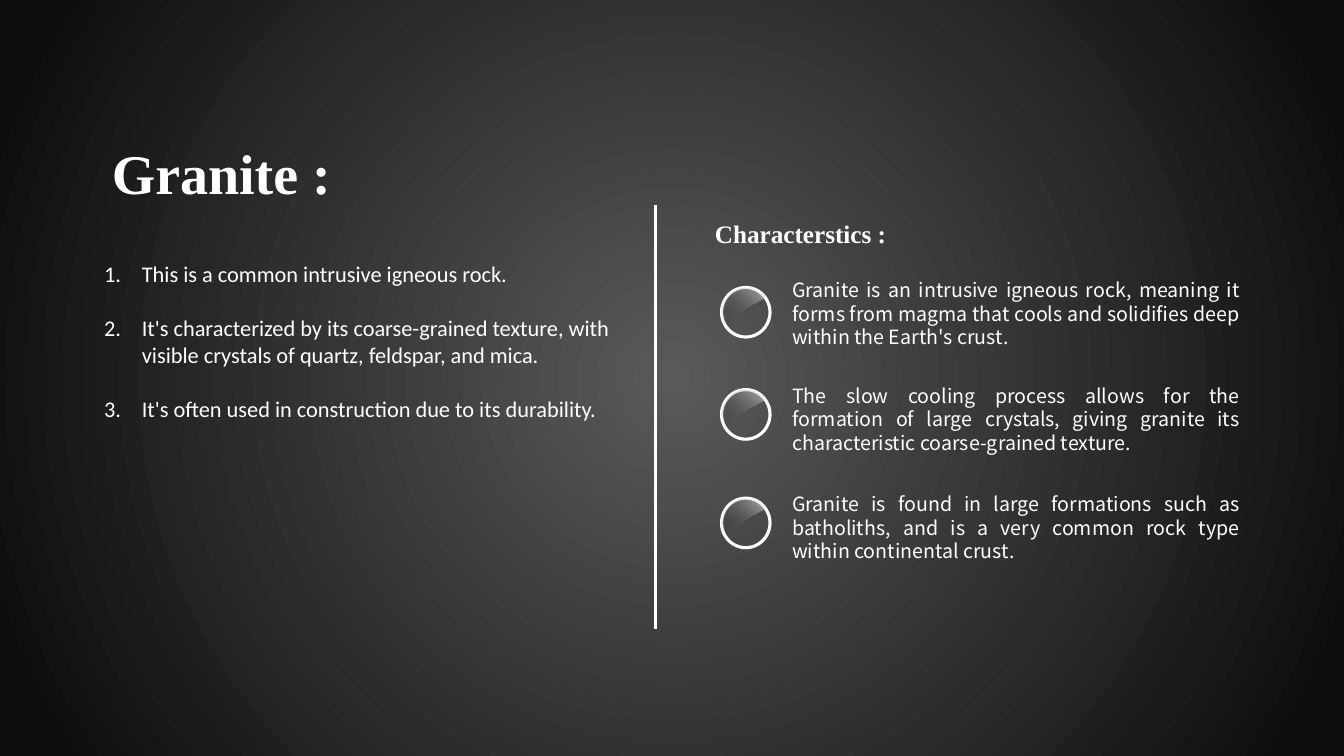
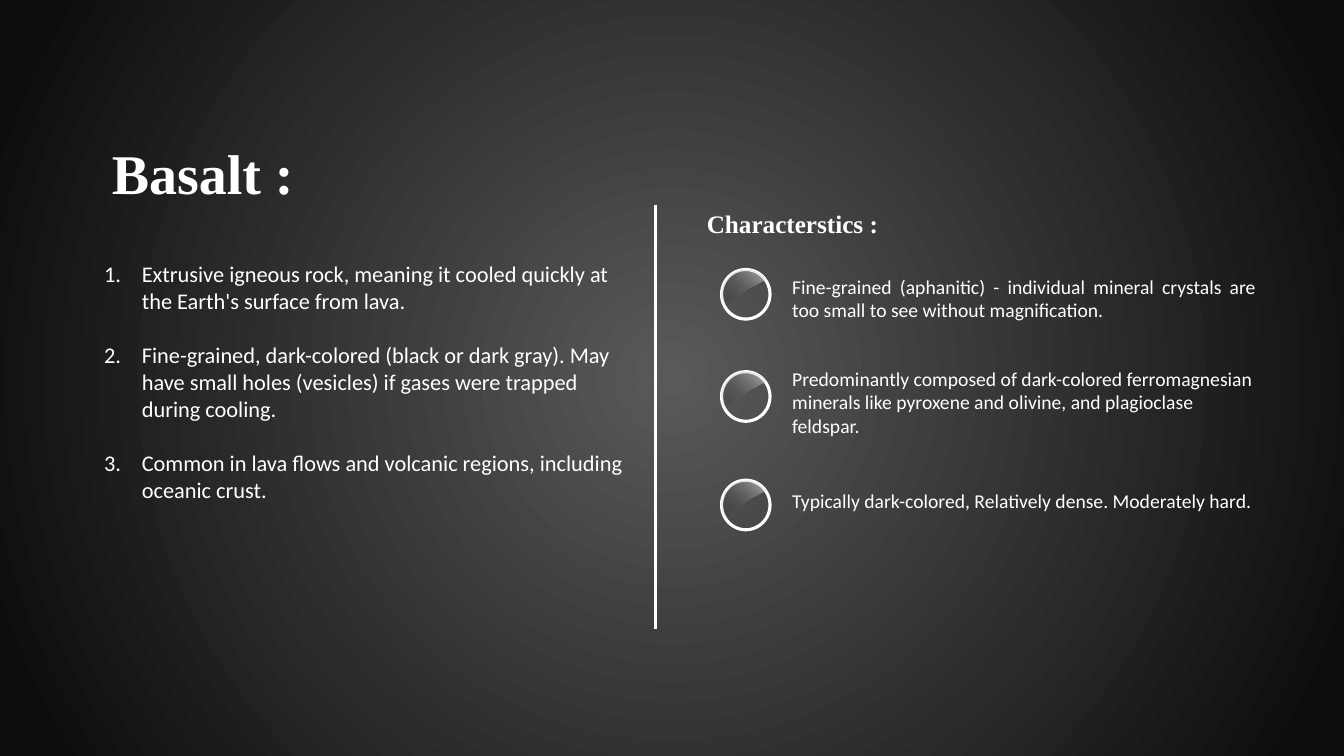
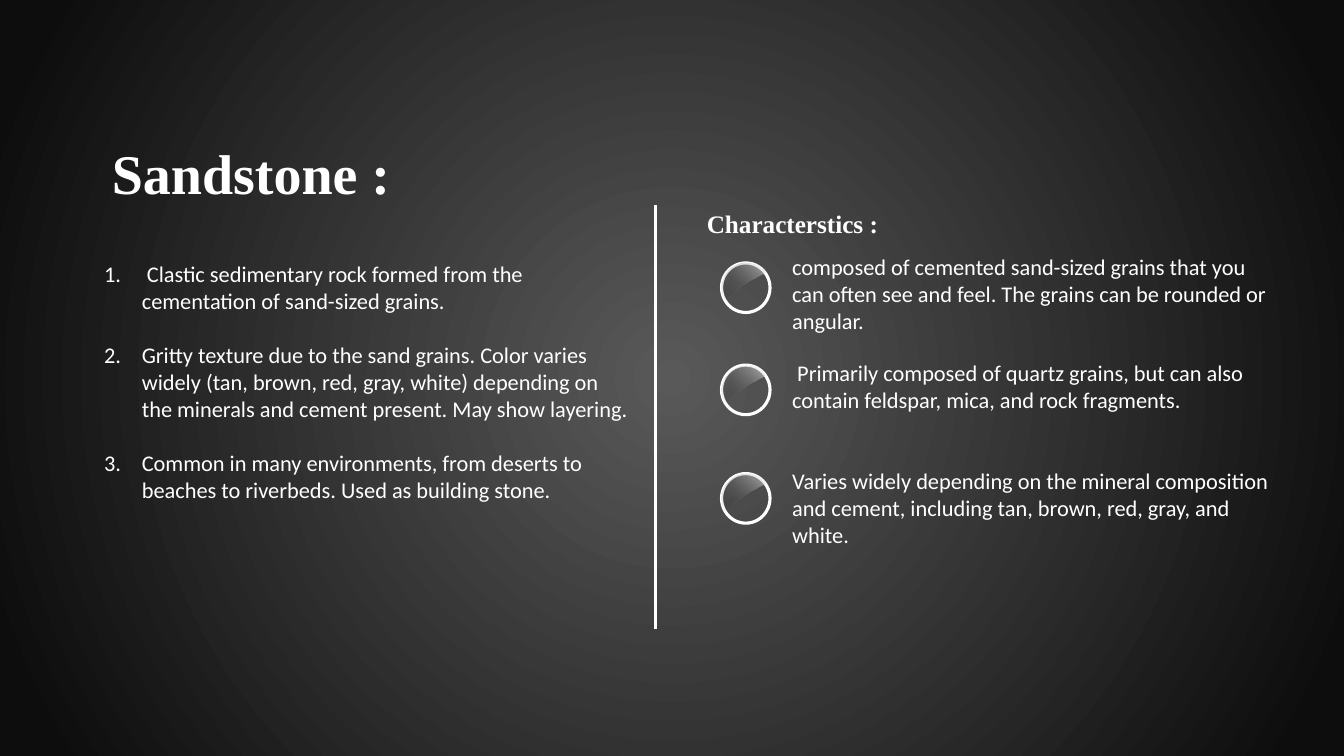
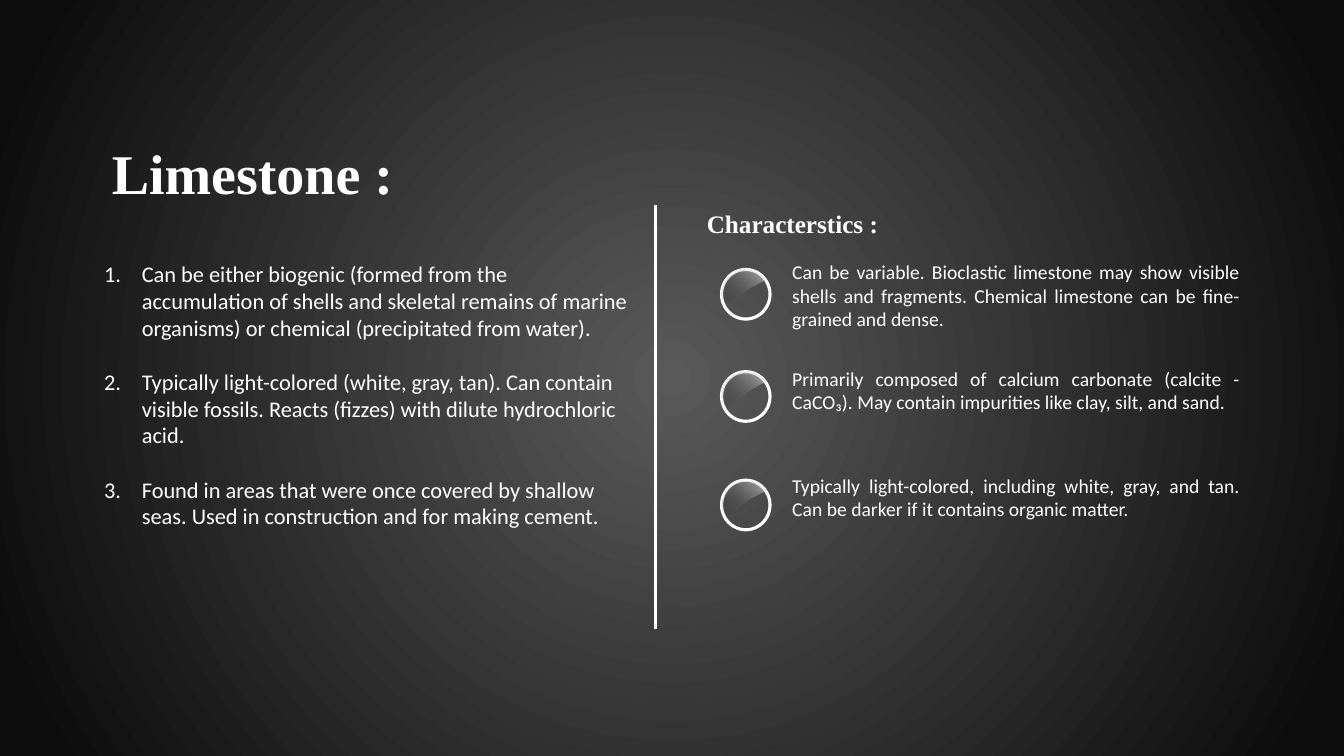
from collections.abc import Sequence
from dataclasses import dataclass

from pptx import Presentation
from pptx.dml.color import RGBColor
from pptx.enum.shapes import MSO_CONNECTOR, MSO_SHAPE
from pptx.enum.text import PP_ALIGN
from pptx.oxml import parse_xml
from pptx.oxml.ns import nsdecls, qn
from pptx.oxml.xmlchemy import BaseOxmlElement
from pptx.shapes.shapetree import GroupShapes, SlideShapes
from pptx.slide import Slide
from pptx.util import Pt

WHITE = "FFFFFF"
BACKGROUND_CENTER = "595959"
BACKGROUND_EDGE = "0D0D0D"
TITLE_FONT = "Times New Roman"
BODY_FONT = "Calibri"
RULE_WIDTH = 2.25
MARKER_LEFT = 515.4
MARKER_OFFSETS = (0, 73, 150.5)
MARKER_SIZE = (34.6, 35.4)
TRAIT_LEFT = 558.8
TRAIT_HEIGHT = 62
NUMBER_INDENT = 27
UNITS_PER_POINT = 100
Point = tuple[float, float]
Shapes = SlideShapes | GroupShapes

GLOSS_START: Point = (17.8, 0)
GLOSS_SEGMENTS: tuple[tuple[Point, ...], ...] = (
    ((22.7, 0), (27, 2), (30.2, 5.2)),
    ((31.5, 7),),
    ((27.3, 9.2),),
    ((17.3, 13.8), (10, 19), (4.3, 25.5)),
    ((2.8, 27.2),),
    ((2.1, 26.3),),
    ((0.8, 23.8), (0, 20.9), (0, 17.8)),
    ((0, 8), (8, 0), GLOSS_START),
)


@dataclass(frozen=True)
class Trait:
    """One characteristic beside a round marker."""

    text: str
    top: float
    justified: bool = True


@dataclass(frozen=True)
class Rock:
    """The content of one slide and the layout of its right column."""

    name: str
    facts: tuple[str, ...]
    traits: tuple[Trait, ...]
    marker_top: float
    trait_width: float
    trait_size: float = 14
    trait_font: str = BODY_FONT
    trait_leading: float | None = None
    heading_at: Point = (497.8, 145.5)


ROCKS = (
    Rock(
        "Granite :",
        (
            "This is a common intrusive igneous rock.",
            "It's characterized by its coarse-grained texture, with visible crystals of quartz, feldspar, and mica.",
            "It's often used in construction due to its durability.",
        ),
        (
            Trait("Granite is an intrusive igneous rock, meaning it forms from magma that cools and solidifies deep within the Earth's crust.", 195),
            Trait("The slow cooling process allows for the formation of large crystals, giving granite its characteristic coarse-grained texture.", 270.6),
            Trait("Granite is found in large formations such as batholiths, and is a very common rock type within continental crust.", 347.8),
        ),
        marker_top=205.3,
        trait_width=334,
        trait_font="Noto Sans CJK SC",
        trait_leading=16.8,
        heading_at=(503.6, 152.6),
    ),
    Rock(
        "Basalt :",
        (
            "Extrusive igneous rock, meaning it cooled quickly at the Earth's surface from lava.",
            "Fine-grained, dark-colored (black or dark gray). May have small holes (vesicles) if gases were trapped during cooling.",
            "Common in lava flows and volcanic regions, including oceanic crust.",
        ),
        (
            Trait("Fine-grained (aphanitic) - individual mineral crystals are too small to see without magnification.", 192.5),
            Trait("Predominantly composed of dark-colored ferromagnesian minerals like pyroxene and olivine, and plagioclase feldspar.", 258.5, False),
            Trait("Typically dark-colored, Relatively dense. Moderately hard.", 345.5),
        ),
        marker_top=192.5,
        trait_width=345.6,
    ),
    Rock(
        "Sandstone :",
        (
            " Clastic sedimentary rock formed from the cementation of sand-sized grains.",
            "Gritty texture due to the sand grains. Color varies widely (tan, brown, red, gray, white) depending on the minerals and cement present. May show layering.",
            "Common in many environments, from deserts to beaches to riverbeds. Used as building stone.",
        ),
        (
            Trait("composed of cemented sand-sized grains that you can often see and feel. The grains can be rounded or angular.", 177.2, False),
            Trait(" Primarily composed of quartz grains, but can also contain feldspar, mica, and rock fragments.", 253.3, False),
            Trait("Varies widely depending on the mineral composition and cement, including tan, brown, red, gray, and white.", 330, False),
        ),
        marker_top=187.8,
        trait_width=355,
        trait_size=16,
    ),
    Rock(
        "Limestone :",
        (
            "Can be either biogenic (formed from the accumulation of shells and skeletal remains of marine organisms) or chemical (precipitated from water).",
            "Typically light-colored (white, gray, tan). Can contain visible fossils. Reacts (fizzes) with dilute hydrochloric acid.",
            "Found in areas that were once covered by shallow seas. Used in construction and for making cement.",
        ),
        (
            Trait("Can be variable. Bioclastic limestone may show visible shells and fragments. Chemical limestone can be fine-grained and dense.", 182.2),
            Trait("Primarily composed of calcium carbonate (calcite - CaCO₃). May contain impurities like clay, silt, and sand.", 258.5),
            Trait("Typically light-colored, including white, gray, and tan. Can be darker if it contains organic matter.", 334.8),
        ),
        marker_top=192.5,
        trait_width=334,
    ),
)


def color(value: str) -> RGBColor:
    """Turn a hex string into a colour."""
    return RGBColor.from_string(value)


def set_gradient(element: BaseOxmlElement, stops: Sequence[tuple[int, str, int]], geometry: str) -> None:
    """Replace the element's gradient by stops of position, colour and opacity."""
    stop_xml = "".join(
        f'<a:gs pos="{position * 1000}"><a:srgbClr val="{value}">'
        f'<a:alpha val="{opacity * 1000}"/></a:srgbClr></a:gs>'
        for position, value, opacity in stops
    )
    gradient = parse_xml(
        f'<a:gradFill {nsdecls("a")} rotWithShape="1"><a:gsLst>{stop_xml}</a:gsLst>{geometry}</a:gradFill>'
    )
    old = next(element.iter(qn("a:gradFill")))
    old.getparent().replace(old, gradient)


def add_text(
    shapes: Shapes,
    texts: Sequence[str],
    left: float,
    top: float,
    width: float,
    height: float,
    *,
    size: float,
    font: str = BODY_FONT,
    bold: bool = False,
    justified: bool = False,
    numbered: bool = False,
    gap: float = 0,
    leading: float | None = None,
) -> None:
    """Add a white text box with one paragraph per text."""
    shape = shapes.add_textbox(Pt(left), Pt(top), Pt(width), Pt(height))
    frame = shape.text_frame
    frame.word_wrap = True
    for index, text in enumerate(texts):
        paragraph = frame.add_paragraph() if index else frame.paragraphs[0]
        paragraph.alignment = PP_ALIGN.JUSTIFY if justified else PP_ALIGN.LEFT
        if leading:
            paragraph.line_spacing = Pt(leading)
        paragraph.space_after = Pt(gap)
        run = paragraph.add_run()
        run.text = text
        run.font.name = font
        run.font.size = Pt(size)
        run.font.bold = bold
        run.font.color.rgb = color(WHITE)
        if numbered:
            properties = paragraph._p.get_or_add_pPr()
            properties.set("marL", str(Pt(NUMBER_INDENT)))
            properties.set("indent", str(-Pt(NUMBER_INDENT)))
            properties.append(parse_xml(f'<a:buAutoNum {nsdecls("a")} type="arabicPeriod"/>'))


def to_units(point: Point) -> tuple[int, int]:
    """Convert points to the whole units of an outline."""
    x, y = point
    return round(x * UNITS_PER_POINT), round(y * UNITS_PER_POINT)


def bend_segments(element: BaseOxmlElement, segments: Sequence[Sequence[Point]]) -> None:
    """Turn the straight segments that have control points into cubic curves."""
    for straight, points in zip(list(element.iter(qn("a:lnTo"))), segments):
        if len(points) == 3:
            point_xml = "".join(f'<a:pt x="{x}" y="{y}"/>' for x, y in map(to_units, points))
            bent = parse_xml(f'<a:cubicBezTo {nsdecls("a")}>{point_xml}</a:cubicBezTo>')
            straight.getparent().replace(straight, bent)


def add_marker(shapes: Shapes, top: float) -> None:
    """Add a ring with a glossy highlight."""
    ring = shapes.add_shape(
        MSO_SHAPE.OVAL, Pt(MARKER_LEFT), Pt(top), *(Pt(side) for side in MARKER_SIZE)
    )
    ring.shadow.inherit = False
    ring.fill.background()
    ring.line.color.rgb = color(WHITE)
    ring.line.width = Pt(RULE_WIDTH)
    builder = shapes.build_freeform(*to_units(GLOSS_START), scale=Pt(1) / UNITS_PER_POINT)
    builder.add_line_segments([to_units(points[-1]) for points in GLOSS_SEGMENTS], close=True)
    gloss = builder.convert_to_shape(Pt(MARKER_LEFT), Pt(top))
    bend_segments(gloss.element, GLOSS_SEGMENTS)
    gloss.shadow.inherit = False
    gloss.line.fill.background()
    gloss.fill.gradient()
    set_gradient(gloss.element, ((0, "000000", 0), (100, WHITE, 58)), '<a:lin ang="18900000" scaled="0"/>')


def add_divider(shapes: Shapes) -> None:
    """Add the upright line between the two columns."""
    line = shapes.add_connector(MSO_CONNECTOR.STRAIGHT, Pt(468.5), Pt(146.5), Pt(468.5), Pt(449))
    line.line.color.rgb = color(WHITE)
    line.line.width = Pt(RULE_WIDTH)
    line.element.spPr.append(parse_xml(f'<a:effectLst {nsdecls("a")}/>'))


def add_rock(slide: Slide, rock: Rock) -> None:
    """Draw one rock's slide."""
    add_divider(slide.shapes)
    for trait, offset in zip(rock.traits, MARKER_OFFSETS):
        group = slide.shapes.add_group_shape()
        add_marker(group.shapes, rock.marker_top + offset)
        add_text(
            group.shapes, [trait.text], TRAIT_LEFT, trait.top, rock.trait_width, TRAIT_HEIGHT,
            size=rock.trait_size, font=rock.trait_font,
            justified=trait.justified, leading=rock.trait_leading,
        )
    add_text(slide.shapes, [rock.name], 72.8, 95.4, 252, 55.5, size=40, font=TITLE_FONT, bold=True)
    add_text(slide.shapes, rock.facts, 67.2, 182.1, 389.5, 190, size=16, numbered=True, gap=19.5)
    add_text(
        slide.shapes, ["Characterstics :"], *rock.heading_at, 193.5, 29,
        size=18, font=TITLE_FONT, bold=True,
    )


def main() -> None:
    """Build and save the presentation."""
    presentation = Presentation()
    presentation.slide_width, presentation.slide_height = Pt(960), Pt(540)
    master = presentation.slide_master
    master.background.fill.gradient()
    set_gradient(
        master.element,
        ((0, BACKGROUND_CENTER, 100), (94, BACKGROUND_EDGE, 100)),
        '<a:path path="circle"><a:fillToRect l="50000" t="50000" r="50000" b="50000"/></a:path>',
    )
    for rock in ROCKS:
        add_rock(presentation.slides.add_slide(presentation.slide_layouts[6]), rock)
    presentation.save("out.pptx")


if __name__ == "__main__":
    main()
